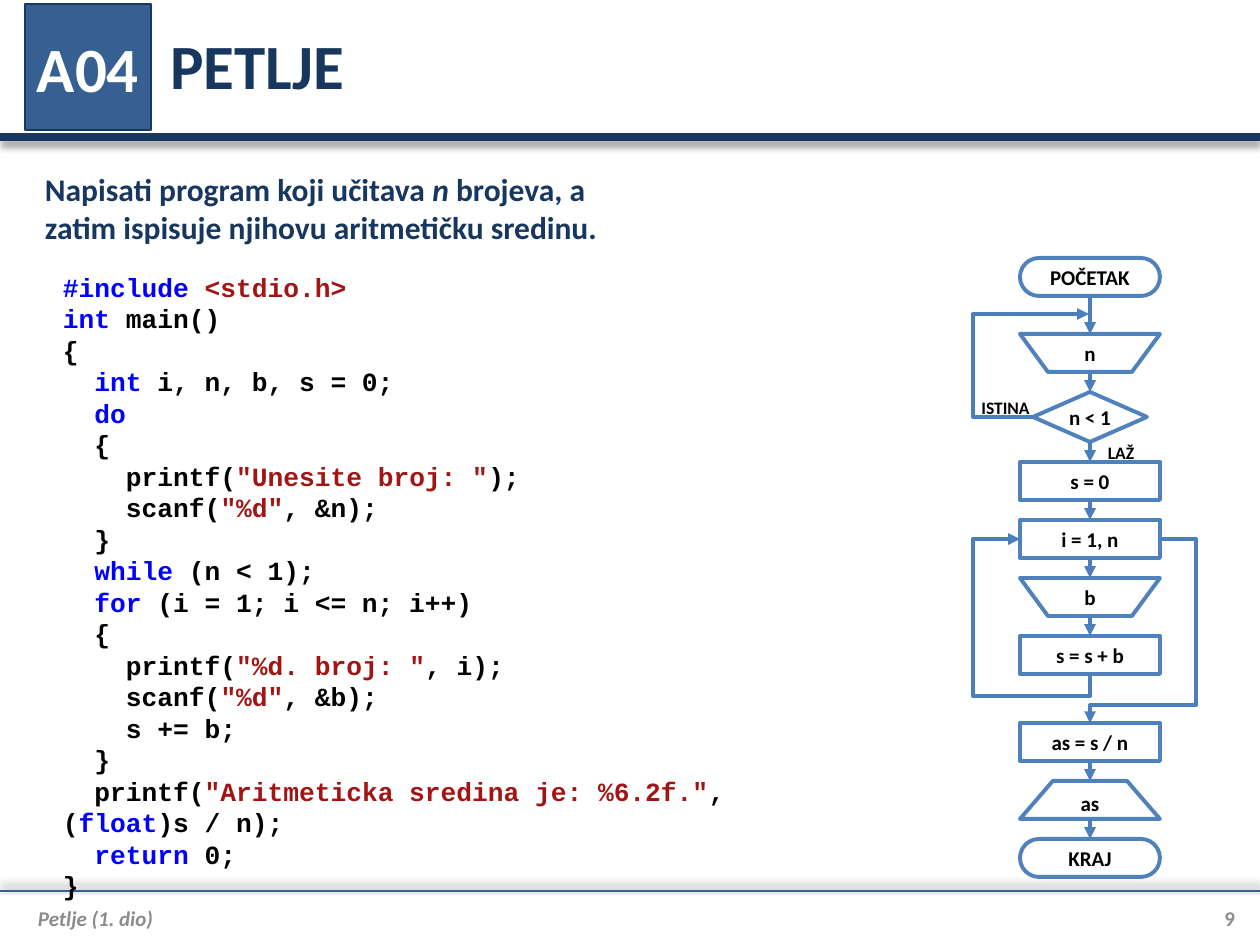
from lxml import etree
from pptx import Presentation
from pptx.dml.color import RGBColor
from pptx.enum.dml import MSO_LINE
from pptx.enum.shapes import MSO_CONNECTOR, MSO_SHAPE
from pptx.enum.text import MSO_ANCHOR, MSO_AUTO_SIZE, PP_ALIGN
from pptx.oxml.ns import qn
from pptx.util import Pt

EMU_PER_PX = 914400 / 126
NAVY = RGBColor(0x17, 0x37, 0x5E)
STEEL = RGBColor(0x37, 0x60, 0x92)
BLUE = RGBColor(0x4F, 0x81, 0xBD)
ARROW_BLUE = RGBColor(0x4B, 0x7E, 0xBC)
GRAY = RGBColor(0x8C, 0x8C, 0x8C)
WHITE = RGBColor(0xFF, 0xFF, 0xFF)
BLACK = RGBColor(0, 0, 0)
KEYWORD = RGBColor(0, 0, 0xFF)
STRING = RGBColor(0xA3, 0x15, 0x15)

STRAIGHT = MSO_CONNECTOR.STRAIGHT
SOLID = MSO_LINE.SOLID
LEFT, CENTER, RIGHT = PP_ALIGN.LEFT, PP_ALIGN.CENTER, PP_ALIGN.RIGHT
TOP, MIDDLE = MSO_ANCHOR.TOP, MSO_ANCHOR.MIDDLE
NO_FIT, GROW = MSO_AUTO_SIZE.NONE, MSO_AUTO_SIZE.SHAPE_TO_FIT_TEXT
TERMINAL, PROCESS = MSO_SHAPE.ROUNDED_RECTANGLE, MSO_SHAPE.RECTANGLE
INPUT, OUTPUT = MSO_SHAPE.FLOWCHART_MANUAL_OPERATION, MSO_SHAPE.TRAPEZOID
DECISION = MSO_SHAPE.DIAMOND

# Each code line is a list of (text, colour) runs
CODE = [
    [("#include ", KEYWORD), ("<stdio.h>", STRING)],
    [("int", KEYWORD), (" main()", BLACK)],
    [("{", BLACK)],
    [("  int", KEYWORD), (" i, n, b, s = 0;", BLACK)],
    [("  do", KEYWORD)],
    [("  {", BLACK)],
    [("    printf(", BLACK), ('"Unesite broj: "', STRING), (");", BLACK)],
    [("    scanf(", BLACK), ('"%d"', STRING), (", &n);", BLACK)],
    [("  }", BLACK)],
    [("  while", KEYWORD), (" (n < 1);", BLACK)],
    [("  for", KEYWORD), (" (i = 1; i <= n; i++)", BLACK)],
    [("  {", BLACK)],
    [("    printf(", BLACK), ('"%d. broj: "', STRING), (", i);", BLACK)],
    [("    scanf(", BLACK), ('"%d"', STRING), (", &b);", BLACK)],
    [("    s += b;", BLACK)],
    [("  }", BLACK)],
    [("  printf(", BLACK), ('"Aritmeticka sredina je: %6.2f."', STRING),
     (", (", BLACK), ("float", KEYWORD), (")s / n);", BLACK)],
    [("  return", KEYWORD), (" 0;", BLACK)],
    [("}", BLACK)],
]

# Flowchart steps: shape, text, width, height, gap to the next step
STEPS = [
    (TERMINAL, "POČETAK", 140, 38, 38),
    (INPUT, "n", 140, 38, 20),
    (DECISION, "n < 1", 114, 50, 20),
    (PROCESS, "s = 0", 140, 38, 20),
    (PROCESS, "i = 1, n", 140, 38, 20),
    (INPUT, "b", 140, 38, 20),
    (PROCESS, "s = s + b", 140, 38, 49),
    (PROCESS, "as = s / n", 140, 38, 20),
    (OUTPUT, "as", 140, 38, 20),
    (TERMINAL, "KRAJ", 140, 38, 0),
]
FLOW_CENTER, FLOW_TOP = 1090, 258
LOOP_LEFT, LOOP_RIGHT = 973, 1196


def px(value):
    return round(value * EMU_PER_PX)


class SlideBuilder:
    font_name = "Calibri"
    flow_line = 2.25

    def __init__(self, slide):
        self.slide = slide

    def frame(self, shape, anchor=MIDDLE, insets=(0, 0, 0, 0), fit=NO_FIT):
        frame = shape.text_frame
        frame.word_wrap = True
        frame.auto_size = fit
        frame.vertical_anchor = anchor
        (frame.margin_left, frame.margin_top,
         frame.margin_right, frame.margin_bottom) = map(px, insets)
        return frame

    def style(self, paragraph, size, color, align=LEFT, italic=None, name=None):
        paragraph.alignment = align
        font = paragraph.font
        font.name, font.size, font.bold = name or self.font_name, Pt(size), True
        font.italic = italic
        if color is not None:
            font.color.rgb = color

    def place(self, shape, box):
        shape.left, shape.top, shape.width, shape.height = map(px, box)

    def title(self, text, box):
        shape = self.slide.shapes.title
        self.place(shape, box)
        shape.text = text
        self.frame(shape, insets=(13, 6, 13, 6))
        self.style(shape.text_frame.paragraphs[0], 36, NAVY)

    def badge(self, text, box):
        shape = self.slide.placeholders[1]
        self.place(shape, box)
        shape.fill.solid()
        shape.fill.fore_color.rgb = STEEL
        shape.line.color.rgb = NAVY
        shape.line.width = Pt(0.75)
        shape.text = text
        paragraph = self.frame(shape).paragraphs[0]
        self.style(paragraph, 36, WHITE, CENTER)
        properties = paragraph._p.get_or_add_pPr()
        properties.set("marL", "0")
        properties.set("indent", "0")
        properties.insert(0, etree.Element(qn("a:buNone")))

    def text(self, lines, box, size, color=None, align=LEFT, italic=None,
             name=None, **frame_options):
        """Lines are strings, or lists of (text, colour) runs."""
        shape = self.slide.shapes.add_textbox(*map(px, box))
        frame = self.frame(shape, **frame_options)
        for index, line in enumerate(lines):
            paragraph = frame.add_paragraph() if index else frame.paragraphs[0]
            self.style(paragraph, size, color, align, italic, name)
            for content, run_color in [(line, None)] if isinstance(line, str) else line:
                run = paragraph.add_run()
                run.text = content
                if run_color is not None:
                    run.font.color.rgb = run_color
        return frame

    def step(self, kind, text, box):
        shape = self.slide.shapes.add_shape(kind, *map(px, box))
        shape.shadow.inherit = False
        if kind == TERMINAL:
            shape.adjustments[0] = 0.5
        elif kind == OUTPUT:
            shape.adjustments[0] = 0.865
        shape.fill.solid()
        shape.fill.fore_color.rgb = WHITE
        shape.line.color.rgb = BLUE
        shape.line.width = Pt(self.flow_line)
        shape.text = text
        self.style(self.frame(shape).paragraphs[0], 12, BLACK, CENTER)
        return shape

    def stroke(self, shape, color, width, arrow=False):
        shape.line.color.rgb = color
        shape.line.width = Pt(width)
        shape.line.dash_style = SOLID
        if arrow:
            line = shape.line._get_or_add_ln()
            etree.SubElement(line, qn("a:tailEnd"), type="triangle")

    def rule(self, y, color, width, shadow_angle):
        line = self.slide.shapes.add_connector(STRAIGHT, 0, px(y), px(1260), px(y))
        self.stroke(line, color, width)
        effects = etree.SubElement(line._element.spPr, qn("a:effectLst"))
        shadow = etree.SubElement(
            effects, qn("a:outerShdw"), blurRad=str(Pt(4)), dist=str(Pt(3)),
            dir=str(shadow_angle * 60000), rotWithShape="0")
        black = etree.SubElement(shadow, qn("a:srgbClr"), val="000000")
        etree.SubElement(black, qn("a:alpha"), val="40000")

    def arrow(self, start, end):
        line = self.slide.shapes.add_connector(STRAIGHT, 0, 0, 0, 0)
        line.begin_connect(start, 2)
        line.end_connect(end, 0)
        self.stroke(line, ARROW_BLUE, self.flow_line, arrow=True)
        etree.SubElement(line._element.spPr, qn("a:effectLst"))

    def loop(self, points):
        builder = self.slide.shapes.build_freeform(*points[0], scale=EMU_PER_PX)
        builder.add_line_segments(points[1:], close=False)
        shape = builder.convert_to_shape()
        shape.fill.background()
        self.stroke(shape, ARROW_BLUE, self.flow_line, arrow=True)
        shape.shadow.inherit = False


def main():
    presentation = Presentation()
    presentation.slide_width, presentation.slide_height = px(1260), px(945)
    builder = SlideBuilder(presentation.slides.add_slide(presentation.slide_layouts[1]))

    # Header and footer
    builder.rule(137, NAVY, 4.5, 90)
    builder.rule(891, STEEL, 1.5, 270)
    builder.title("PETLJE", (157, 1, 1078, 126))
    builder.badge("A04", (25, 4, 126, 126))
    builder.text(["Petlje (1. dio)"], (25, 896, 1147, 44), 12, GRAY,
                 italic=True, insets=(13, 0, 0, 0))
    builder.text(["9"], (1172, 896, 63, 44), 12, GRAY, RIGHT)

    # Task and program
    task = [("Napisati program koji učitava ", None), ("n", None),
            (" brojeva, a zatim ispisuje njihovu aritmetičku sredinu.", None)]
    text_box = {"anchor": TOP, "insets": (13, 6, 13, 6), "fit": GROW}
    frame = builder.text([task], (32, 164, 617, 89), 18, NAVY, **text_box)
    frame.paragraphs[0].runs[1].font.italic = True
    builder.text(CODE, (50, 265, 857, 617), 15, name="Courier New", **text_box)

    # Flowchart steps
    steps, tops, top = [], [], FLOW_TOP
    for kind, text, width, height, gap in STEPS:
        box = (FLOW_CENTER - width // 2, top, width, height)
        steps.append(builder.step(kind, text, box))
        tops.append(top)
        top += height + gap
    for label, left, label_top, width in [("ISTINA", 974, 397, 63), ("LAŽ", 1096, 442, 50)]:
        builder.text([label], (left, label_top, width, 21), 10, BLACK, CENTER,
                     anchor=TOP, fit=GROW)

    # Flowchart arrows; the counting loop leaves its body by the right-hand path
    body_end = 6
    for index in range(len(steps) - 1):
        if index != body_end:
            builder.arrow(steps[index], steps[index + 1])
    test_y, count_y = tops[2] + 25, tops[4] + 19
    body_bottom, exit_top = tops[body_end] + 38, tops[body_end + 1]
    builder.loop([(1033, test_y), (LOOP_LEFT, test_y), (LOOP_LEFT, 314), (1089, 314)])
    builder.loop([(FLOW_CENTER, body_bottom), (FLOW_CENTER, 696), (LOOP_LEFT, 696),
                  (LOOP_LEFT, count_y), (1020, count_y)])
    builder.loop([(1160, count_y), (LOOP_RIGHT, count_y), (LOOP_RIGHT, 705),
                  (FLOW_CENTER, 705), (FLOW_CENTER, exit_top)])

    presentation.save("out.pptx")


if __name__ == "__main__":
    main()
